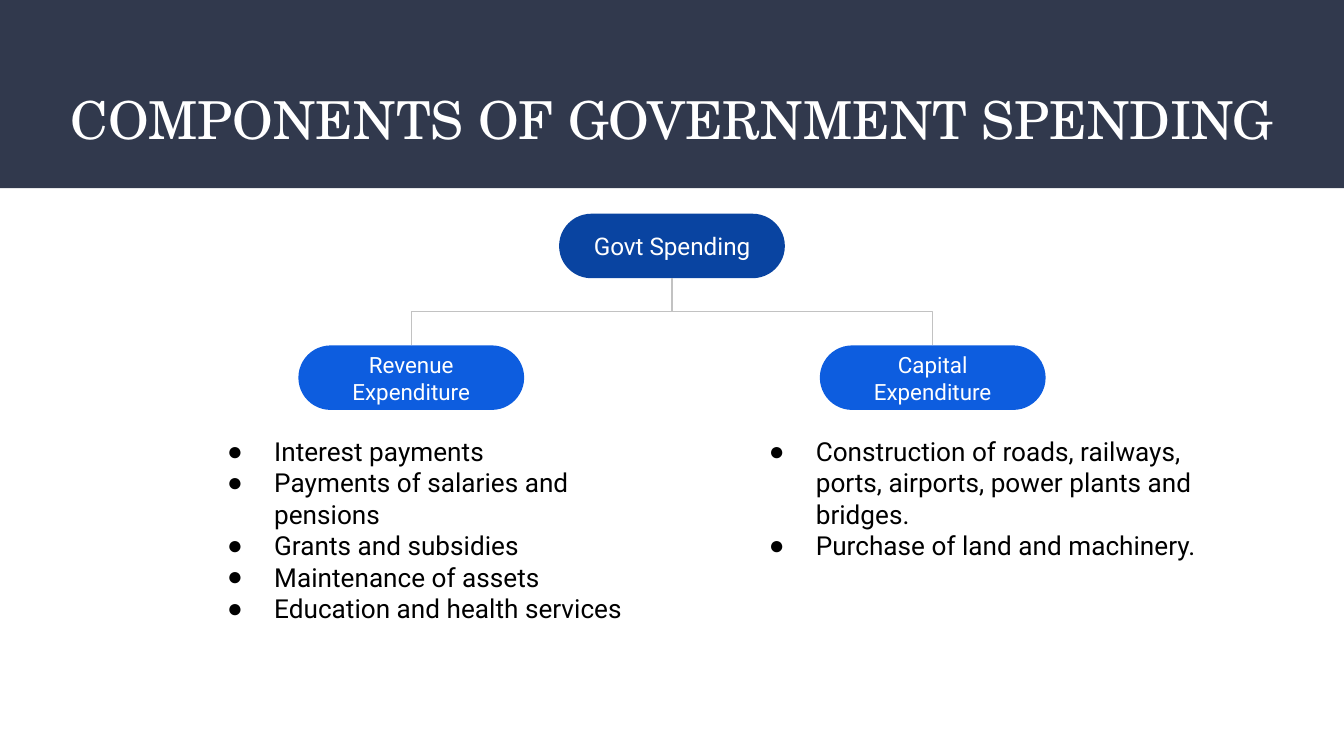
from lxml import etree
from pptx import Presentation
from pptx.dml.color import RGBColor
from pptx.enum import shapes, text
from pptx.oxml import ns
from pptx.util import Inches, Pt


def place(shape, left, top, width, height):
    shape.left, shape.top = Inches(left), Inches(top)
    shape.width, shape.height = Inches(width), Inches(height)


def write(frame, lines, size, color, font="Roboto", align=text.PP_ALIGN.LEFT,
          anchor=text.MSO_ANCHOR.TOP, bullet=None):
    """Fill a text frame with one formatted paragraph per line."""
    frame.word_wrap = True
    frame.auto_size = text.MSO_AUTO_SIZE.NONE
    frame.vertical_anchor = anchor
    frame.margin_left = frame.margin_right = Inches(0.1)
    frame.margin_top = frame.margin_bottom = Inches(0.1)
    for index, line in enumerate(lines):
        para = frame.add_paragraph() if index else frame.paragraphs[0]
        para.alignment = align
        para.space_before = para.space_after = Pt(0)
        span = para.add_run()
        span.text = line
        span.font.size, span.font.name = Pt(size), font
        span.font.color.rgb = RGBColor.from_string(color)
        if bullet:
            props = para._p.get_or_add_pPr()
            props.set("marL", str(Inches(0.5)))
            props.set("indent", str(Inches(-0.35)))
            bullet_color = etree.SubElement(props, ns.qn("a:buClr"))
            etree.SubElement(bullet_color, ns.qn("a:srgbClr"), val=color)
            etree.SubElement(props, ns.qn("a:buFont"), typeface="Arial")
            etree.SubElement(props, ns.qn("a:buChar"), char=bullet)


deck = Presentation()
deck.slide_width, deck.slide_height = Inches(10), Inches(10 * 9 / 16)
page = deck.slides.add_slide(deck.slide_layouts.get_by_name("Two Content"))
title, left_list, right_list = page.placeholders

# Header band, kept behind the title
band = page.shapes.add_shape(shapes.MSO_SHAPE.RECTANGLE, 0, 0, Inches(10), Inches(1.4))
band.shadow.inherit = False
band.fill.solid()
band.fill.fore_color.rgb = RGBColor.from_string("31394D")
band.line.fill.background()
page.shapes._spTree.insert(2, band._element)

place(title, 0.34, 0.55, 9.32, 0.68)
write(title.text_frame, ["COMPONENTS OF GOVERNMENT SPENDING"], 28, "FFFFFF",
      font="TeX Gyre Schola", align=text.PP_ALIGN.CENTER)

# Tree of spending: the root first, then its two branches
PILL_WIDTH, PILL_HEIGHT = 1.68, 0.48
ROOT_CENTER, ROOT_TOP, BRANCH_TOP = 5, 1.59, 2.57
BRANCH_OFFSET = 1.94
pills = []
for label, center, top, size, color in [
    ("Govt Spending", ROOT_CENTER, ROOT_TOP, 13, "0944A1"),
    ("Revenue Expenditure", ROOT_CENTER - BRANCH_OFFSET, BRANCH_TOP, 12, "0D5DDF"),
    ("Capital Expenditure", ROOT_CENTER + BRANCH_OFFSET, BRANCH_TOP, 12, "0D5DDF"),
]:
    pill = page.shapes.add_shape(
        shapes.MSO_SHAPE.ROUNDED_RECTANGLE, Inches(center - PILL_WIDTH / 2),
        Inches(top), Inches(PILL_WIDTH), Inches(PILL_HEIGHT))
    pill.adjustments[0] = 0.5
    pill.shadow.inherit = False
    pill.fill.solid()
    pill.fill.fore_color.rgb = RGBColor.from_string(color)
    pill.line.fill.background()
    write(pill.text_frame, [label], size, "FFFFFF", align=text.PP_ALIGN.CENTER,
          anchor=text.MSO_ANCHOR.MIDDLE)
    pills.append(pill)

# Elbows leave the root downwards, so their frames are turned a quarter
root, *branches = pills
root_bottom = ROOT_TOP + PILL_HEIGHT
drop = BRANCH_TOP - root_bottom
for branch, side, degrees in zip(branches, (-1, 1), (90, 270)):
    elbow = page.shapes.add_connector(shapes.MSO_CONNECTOR.ELBOW, 0, 0, 0, 0)
    elbow.begin_connect(root, 2)
    elbow.end_connect(branch, 0)
    middle = ROOT_CENTER + side * BRANCH_OFFSET / 2
    place(elbow, middle - drop / 2, root_bottom + drop / 2 - BRANCH_OFFSET / 2,
          drop, BRANCH_OFFSET)
    frame = elbow._element.spPr.find(ns.qn("a:xfrm"))
    frame.set("rot", str(degrees * 60000))
    frame.set("flipH", "1" if side > 0 else "0")
    frame.set("flipV", "0")
    elbow.line.color.rgb = RGBColor.from_string("C2C2C2")
    elbow.line.width = Pt(0.75)
    etree.SubElement(elbow._element.spPr, ns.qn("a:effectLst"))

place(left_list, 1.44, 3.14, 3.44, 1.62)
write(left_list.text_frame, [
    "Interest payments",
    "Payments of salaries and pensions",
    "Grants and subsidies",
    "Maintenance of assets",
    "Education and health services",
], 14, "000000", bullet="●")

place(right_list, 5.47, 3.14, 3.58, 1.14)
write(right_list.text_frame, [
    "Construction of roads, railways, ports, airports, power plants and bridges.",
    "Purchase of land and machinery.",
], 14, "000000", bullet="●")

deck.save("out.pptx")
